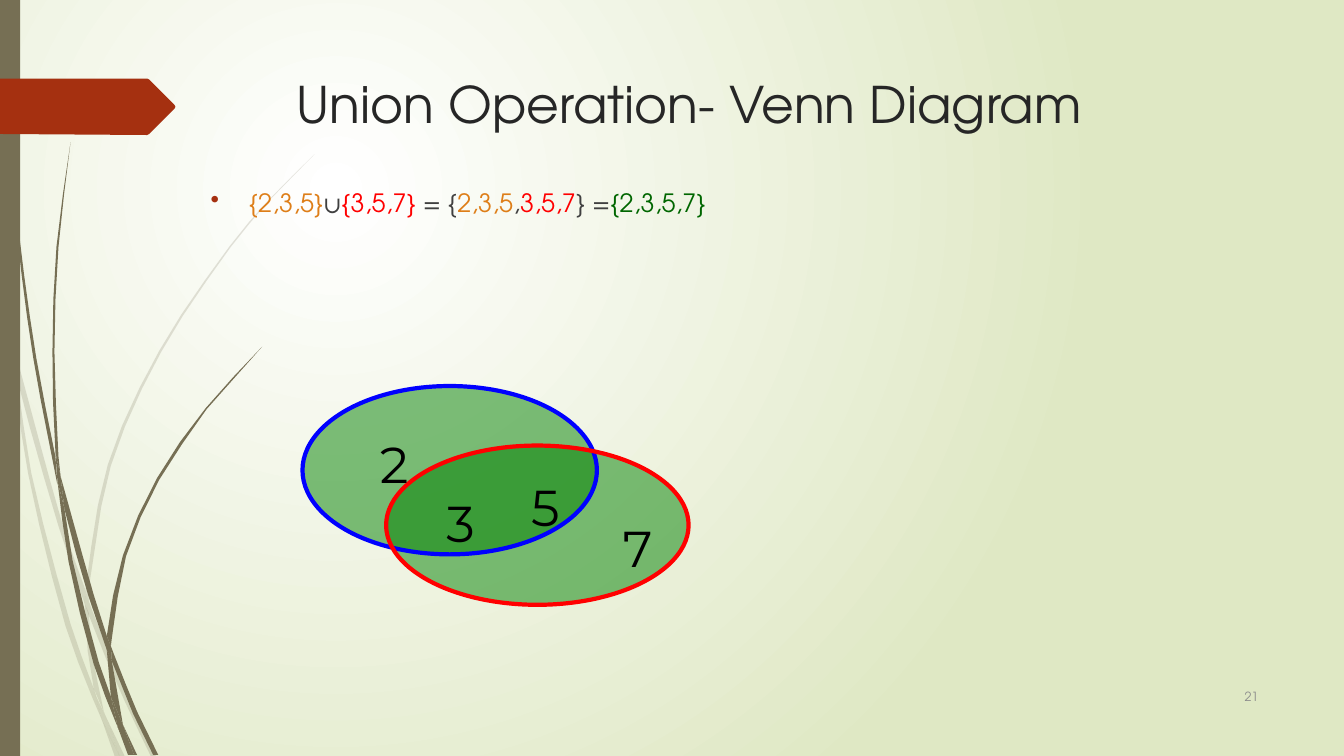
from dataclasses import dataclass
from math import dist
from typing import Optional

from lxml.etree import SubElement
from pptx import Presentation
from pptx.dml.color import RGBColor
from pptx.enum.shapes import MSO_SHAPE as SHAPE
from pptx.enum.text import MSO_ANCHOR as ANCHOR, PP_ALIGN as ALIGN
from pptx.oxml.ns import qn
from pptx.util import Emu, Inches, Pt

COLS, ROWS = 1333, 750
CELL = Inches(0.01)
LONGEST_CHORD = 60
SANS, DIGITS = "TeX Gyre Adventor", "Montserrat"
COLORS = {
    "white": "FFFFFF", "mist": "DFE8C4", "stem": "766F54", "rust": "A53010",
    "title": "262626", "body": "404040", "page": "8C8C8C", "black": "000000",
    "orange": "DE7E18", "red": "FF0000", "blue": "0000FF",
    "green": "008000", "result": "006600",
}
Point = tuple[float, float]
Box = tuple[int, int, int, int]


@dataclass
class Blade:
    """A grass piece between two smooth edges, one going out, one back."""
    near: list[Point]
    far: list[Point]


@dataclass
class VennSet:
    box: Box
    outline: str


@dataclass
class Element:
    digit: str
    col: int
    row: int


PALE_GRASS = [
    Blade([(11, 350), (9, 322), (0, 282)], [(0, 299), (10, 344)]),
    Blade([(14, 345), (17, 376), (58, 522), (84, 599)], [(85, 586), (62, 520), (14, 345)]),
    Blade([(88, 596), (88, 610), (123, 694), (150, 751)],
          [(155, 751), (127, 692), (92, 607)]),
    Blade([(105, 711), (119, 751)], [(124, 751)]),
    Blade([(11, 350), (28, 470), (65, 621), (92, 693), (101, 714)],
          [(93, 683), (70, 619), (31, 469), (17, 376), (11, 350)]),
    Blade([(84, 599), (87, 646), (93, 683), (105, 711)],
          [(103, 706), (91, 646), (88, 608), (84, 599)]),
    Blade([(88, 596), (85, 584), (107, 461), (158, 348), (228, 244),
           (268, 197), (312, 153)],
          [(268, 198), (229, 245), (160, 349), (110, 462), (88, 584)]),
    Blade([(101, 714), (114, 751)], [(119, 751)]),
    Blade([(85, 586), (84, 599)], [(88, 610), (88, 596)]),
    Blade([(93, 683), (101, 714), (119, 751)], [(105, 711), (96, 692)]),
]
DARK_GRASS = [
    Blade([(3, 0), (7, 110), (17, 233), (33, 355), (57, 481)],
          [(55, 453), (36, 355), (19, 232), (8, 109), (4, 0)]),
    Blade([(60, 472), (64, 505), (88, 592), (106, 645)],
          [(106, 631), (93, 590), (60, 472)]),
    Blade([(110, 641), (111, 656), (132, 708), (152, 749)],
          [(157, 749), (136, 706), (113, 649)]),
    Blade([(57, 477), (68, 557), (93, 659), (117, 722)],
          [(110, 691), (98, 657), (72, 556), (64, 505), (57, 477)]),
    Blade([(70, 141), (56, 245), (52, 349), (55, 449), (60, 472)],
          [(58, 453), (54, 349), (58, 245), (70, 141)]),
    Blade([(122, 719), (133, 749)], [(136, 749)]),
    Blade([(55, 449), (57, 477), (64, 505)], [(60, 472)]),
    Blade([(110, 641), (106, 631), (122, 551), (156, 474), (204, 405), (260, 344)],
          [(205, 406), (158, 476), (125, 552), (111, 633)]),
    Blade([(117, 722), (127, 749)], [(131, 749)]),
    Blade([(106, 645), (110, 691), (122, 719)], [(111, 656), (109, 651)]),
    Blade([(106, 631), (106, 645)], [(111, 656), (110, 641)]),
    Blade([(110, 691), (117, 722), (130, 749)], [(133, 749), (122, 719)]),
]
PAGE_TAG = [(0, 78), (146, 78), (148, 79), (173, 104), (174, 106), (173, 108),
            (148, 133), (146, 134), (0, 133)]
SETS = [VennSet((300, 383, 292, 167), "blue"), VennSet((383, 442, 300, 158), "red")]
ELEMENTS = [Element("2", 367, 425), Element("3", 433, 483),
            Element("5", 517, 467), Element("7", 608, 508)]
EQUATION = [("{2,3,5}", "orange"), ("∪", "body"), ("{3,5,7}", "red"), (" = {", "body"),
            ("2,3,5", "orange"), (",", "body"), ("3,5,7", "red"), ("} =", "body"),
            ("{2,3,5,7}", "result")]


def rgb(name: str) -> RGBColor:
    return RGBColor.from_string(COLORS[name])


def cells(values) -> list[Emu]:
    return [Emu(round(v * CELL)) for v in values]


def smooth(edge: list[Point]) -> list[Point]:
    """Sample a Hermite curve through the points, with chord-length tangents."""
    if len(edge) < 3:
        return edge
    ends = [edge[0], *edge, edge[-1]]
    slopes = [[(c[k] - a[k]) / (dist(a, b) + dist(b, c)) for k in (0, 1)]
              for a, b, c in zip(ends, edge, ends[2:])]
    curve = [edge[0]]
    for a, b, m, n in zip(edge, edge[1:], slopes, slopes[1:]):
        length = dist(a, b)
        steps = 1 + int(length // LONGEST_CHORD)
        for t in (i / steps for i in range(1, steps + 1)):
            h = t * t * (3 - 2 * t)
            u, v = length * t * (1 - t) ** 2, length * t * t * (t - 1)
            curve.append(tuple(a[k] + h * (b[k] - a[k]) + u * m[k] + v * n[k]
                               for k in (0, 1)))
    return curve


def paint(sp, fill: Optional[str] = None, alpha: int = 100,
          line: Optional[str] = None, width: float = 0.75) -> None:
    sp.shadow.inherit = False
    if fill:
        sp.fill.solid()
        sp.fill.fore_color.rgb = rgb(fill)
        if alpha < 100:
            color = sp.element.spPr.find(qn("a:solidFill"))[0]
            SubElement(color, qn("a:alpha"), val=str(alpha * 1000))
    else:
        sp.fill.background()
    if line:
        sp.line.color.rgb = rgb(line)
        sp.line.width = Pt(width)
    else:
        sp.line.fill.background()


def add_outline(s, points: list[Point], fill: str, alpha: int = 100) -> None:
    start, *rest = [cells(p) for p in points]
    builder = s.shapes.build_freeform(*start, scale=1.0)
    builder.add_line_segments(rest, close=True)
    paint(builder.convert_to_shape(), fill, alpha)


def add_preset(s, kind: SHAPE, box: Box, **look) -> None:
    paint(s.shapes.add_shape(kind, *cells(box)), **look)


def add_text(s, box: Box, runs: list[tuple[str, str]], *, size: float, font: str = SANS,
             align: ALIGN = ALIGN.LEFT, anchor: ANCHOR = ANCHOR.TOP,
             wrap: bool = True, bullet: Optional[str] = None) -> None:
    tf = s.shapes.add_textbox(*cells(box)).text_frame
    tf.word_wrap, tf.vertical_anchor = wrap, anchor
    p = tf.paragraphs[0]
    p.alignment = align
    if bullet:
        pPr = p._p.get_or_add_pPr()
        indent = Inches(0.38)
        pPr.set("marL", str(indent))
        pPr.set("indent", str(-indent))
        SubElement(SubElement(pPr, qn("a:buClr")), qn("a:srgbClr"), val=COLORS[bullet])
        SubElement(pPr, qn("a:buChar"), char="•")
    for text, color in runs:
        r = p.add_run()
        r.text = text
        r.font.name, r.font.size, r.font.color.rgb = font, Pt(size), rgb(color)


def add_backdrop(s) -> None:
    fill = s.background.fill
    fill.gradient()
    for stop, color, position in zip(fill.gradient_stops, ("white", "mist"), (0, 1)):
        stop.color.rgb, stop.position = rgb(color), position
    grad = s.element.find(".//" + qn("a:gradFill"))
    grad.remove(grad.find(qn("a:lin")))
    circle = SubElement(grad, qn("a:path"), path="circle")
    SubElement(circle, qn("a:fillToRect"), l="50000", t="50000", r="100000", b="100000")
    for blades, alpha in ((PALE_GRASS, 20), (DARK_GRASS, 100)):
        for blade in blades:
            add_outline(s, smooth(blade.near) + smooth(blade.far), "stem", alpha)
    add_preset(s, SHAPE.RECTANGLE, (0, 0, 20, ROWS), fill="stem")
    add_outline(s, PAGE_TAG, "rust")


def main() -> None:
    prs = Presentation()
    prs.slide_width, prs.slide_height = cells((COLS, ROWS))
    s = prs.slides.add_slide(prs.slide_layouts[6])
    add_backdrop(s)
    add_text(s, (1133, 670, 125, 41), [("21", "page")], size=9,
             align=ALIGN.RIGHT, anchor=ANCHOR.MIDDLE)
    add_text(s, (199, 181, 1059, 466), EQUATION, size=18, bullet="rust")
    for venn in SETS:
        add_preset(s, SHAPE.OVAL, venn.box, fill="green", alpha=50, line="green")
    add_text(s, (284, 68, 975, 140), [("Union Operation- Venn Diagram", "title")], size=36)
    for venn in SETS:
        add_preset(s, SHAPE.OVAL, venn.box, line=venn.outline, width=3)
    for e in ELEMENTS:
        add_text(s, (e.col, e.row, 25, 42), [(e.digit, "black")], size=36,
                 font=DIGITS, align=ALIGN.CENTER, wrap=False)
    prs.save("out.pptx")


if __name__ == "__main__":
    main()
